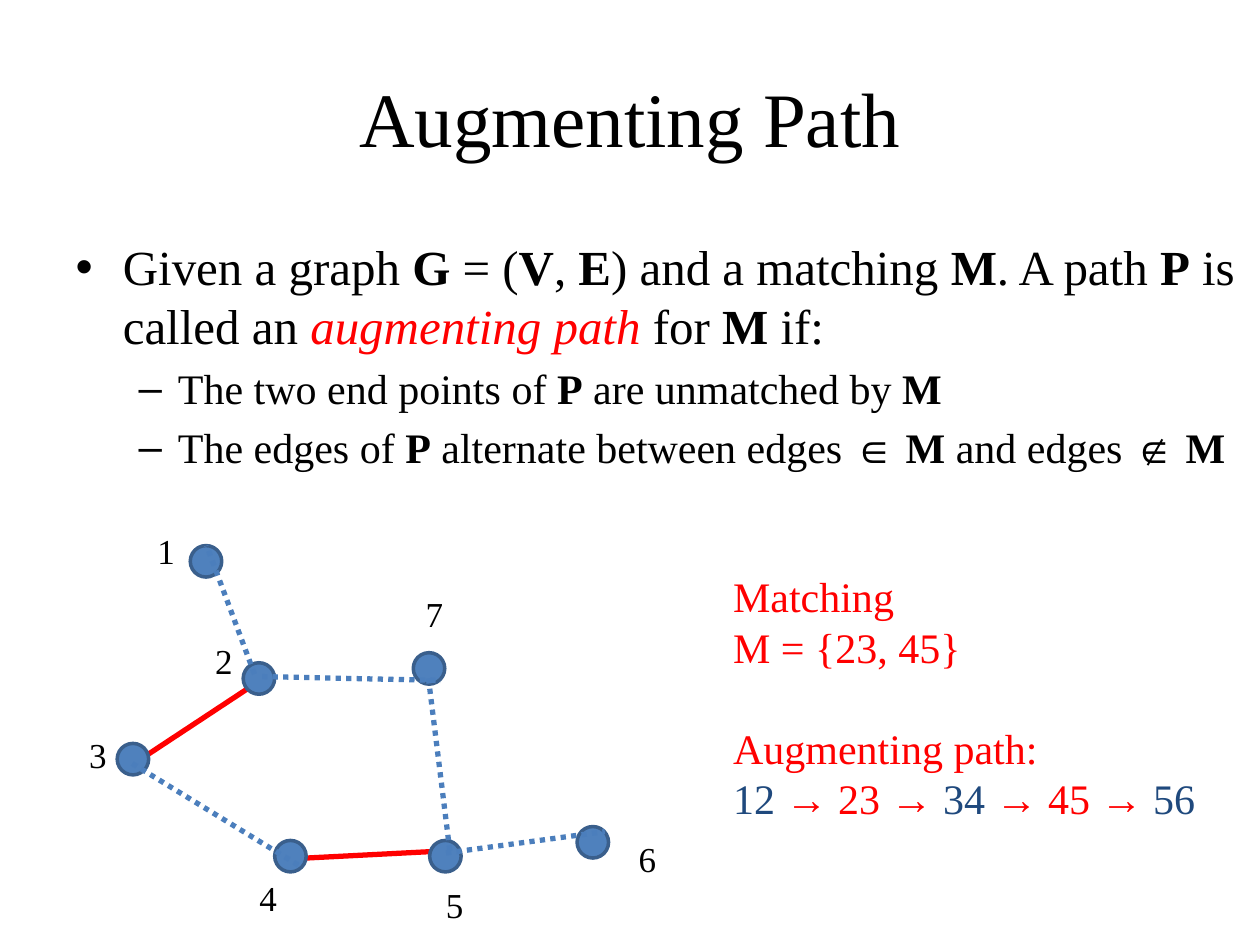
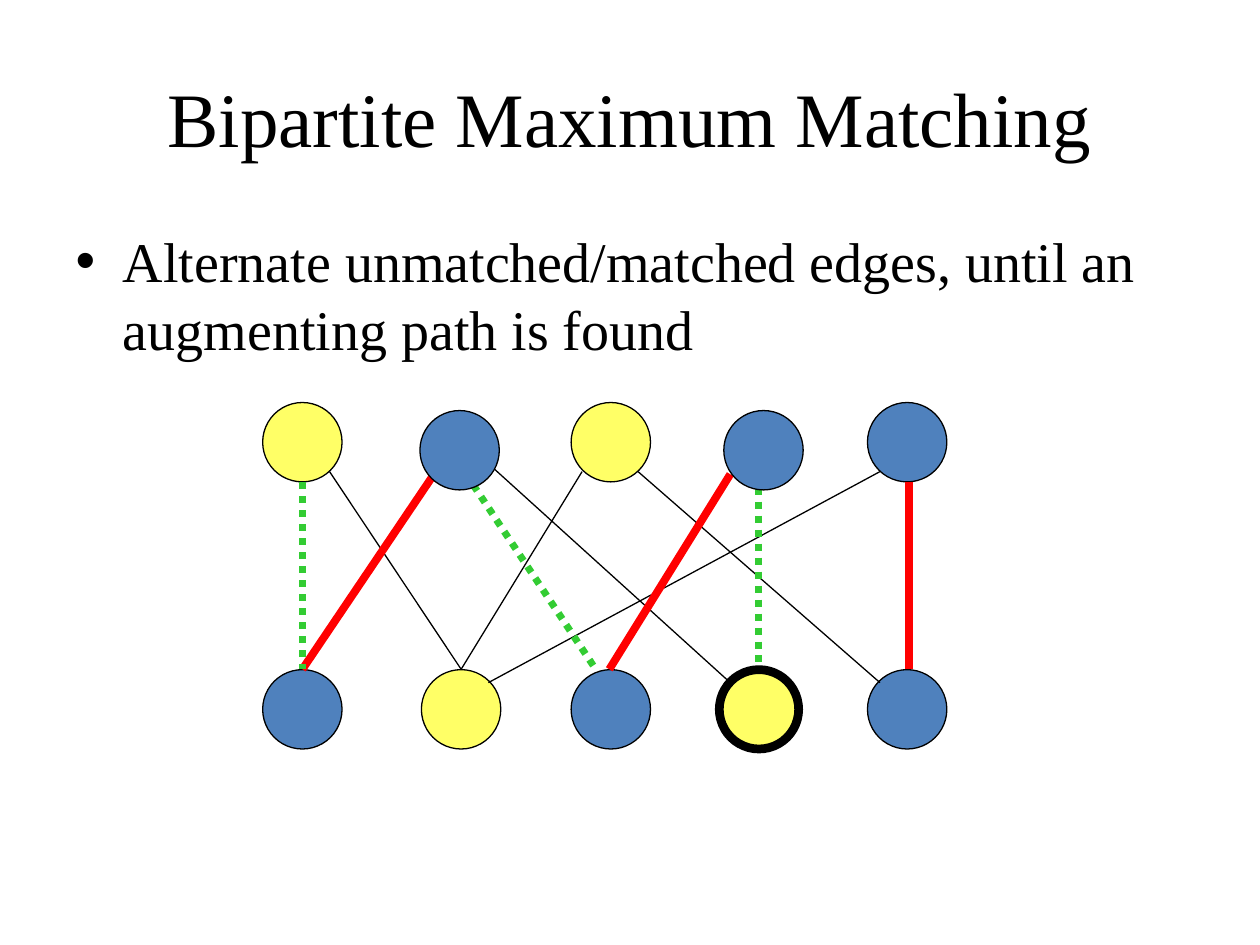
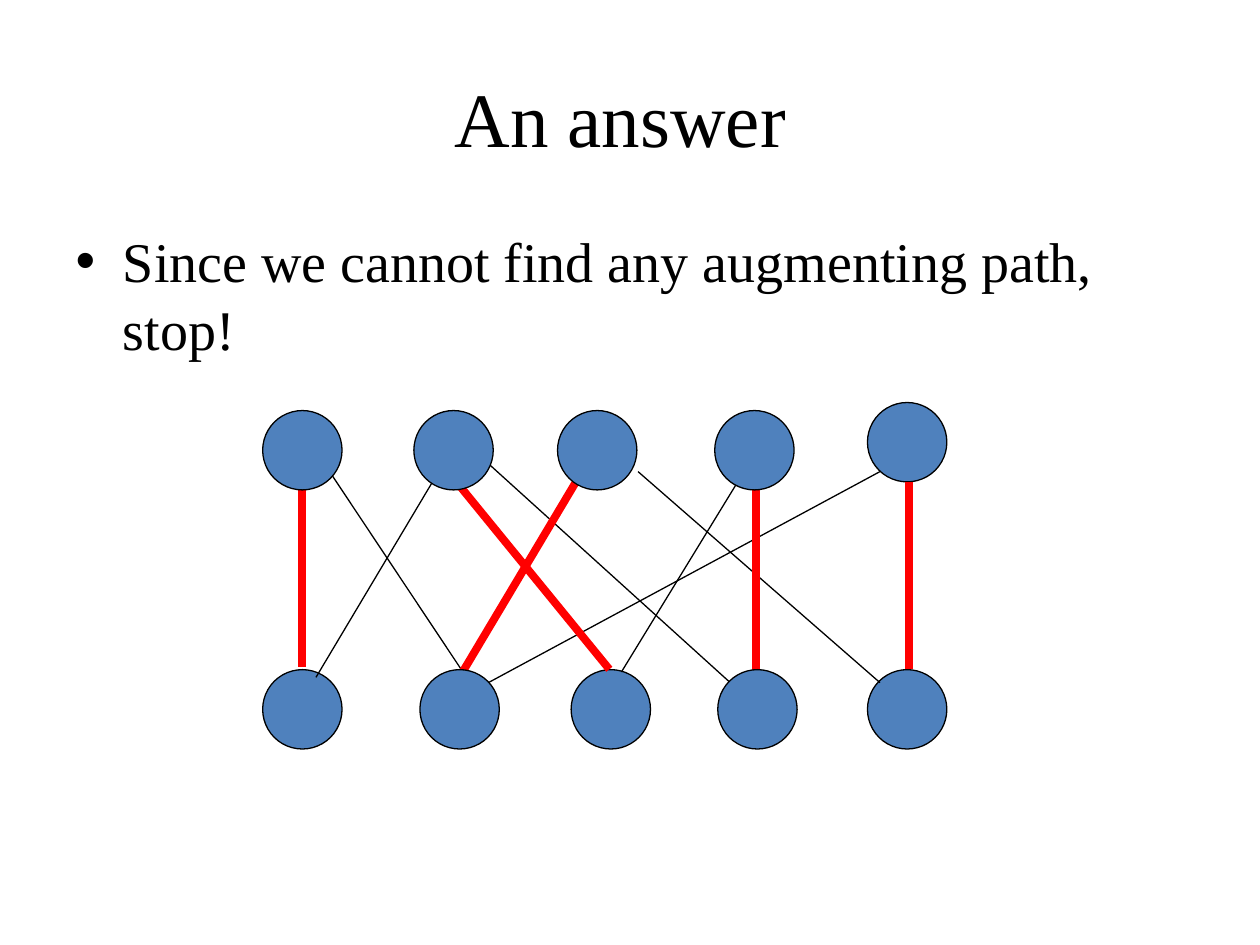
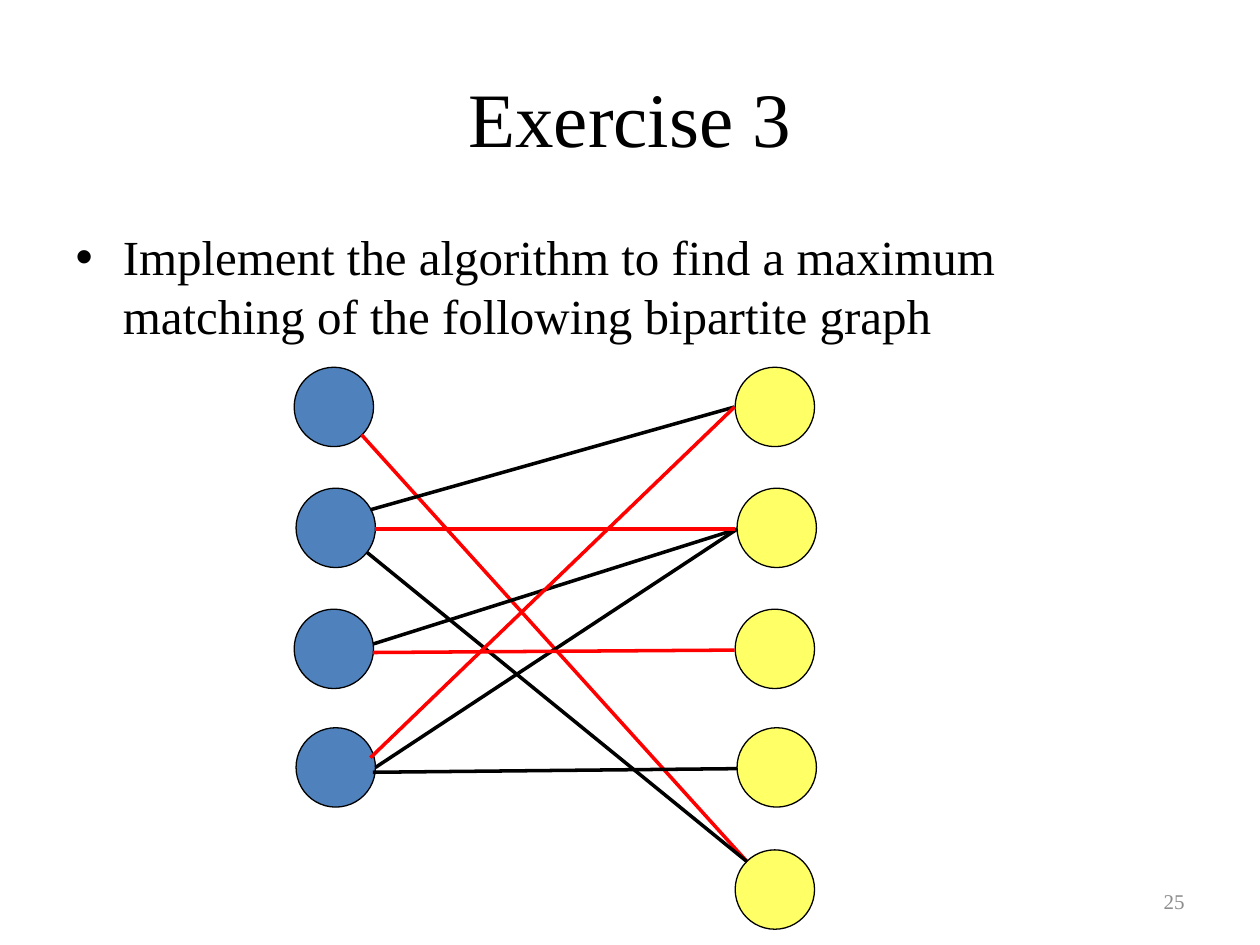
import collections

import lxml.etree
import pptx
import pptx.dml.color
import pptx.enum.dml
import pptx.enum.shapes
import pptx.enum.text
import pptx.oxml.ns
import pptx.util

FONT = "Times New Roman"
COLORS = {
    "black": "000000",
    "red": "FF0000",
    "navy": "1F497D",
    "blue": "4F81BD",
    "blue outline": "3A5F8C",
    "blue edge": "4B7EBC",
    "yellow": "FFFF66",
    "green": "33CC33",
    "gray": "8C8C8C",
}
NODE_SIZE = 0.63
BOLD = {"bold": True}
RED = {"color": "red"}
NAVY = {"color": "navy"}

Box = collections.namedtuple("Box", "left top width height")
Grid = collections.namedtuple("Grid", "left top column_width row_height")

TITLE_BOX = Box(0.5, 0.3, 9, 1.25)
BODY_BOX = Box(0.5, 1.75, 9, 4.95)
PATH_GRID = Grid(0.5, 4, 0.5, 0.5)
MATCHING_GRID = Grid(2.4, 3.51, 1.2, 2.12)
EXERCISE_GRID = Grid(2.65, 3.23, 0.5, 0.96)


def rgb(name):
    return pptx.dml.color.RGBColor.from_string(COLORS[name])


def inches(*lengths):
    return [pptx.util.Inches(length) for length in lengths]


def grid_point(grid, column, row):
    return (grid.left + column * grid.column_width,
            grid.top + row * grid.row_height)


def write(paragraph, text, size, color="black", bold=False, italic=False):
    """Append one formatted run."""
    run = paragraph.add_run()
    run.text = text
    font = run.font
    font.name = FONT
    font.size = pptx.util.Pt(size)
    font.bold = bold
    font.italic = italic
    font.color.rgb = rgb(color)


def write_runs(paragraph, runs, size):
    """Append runs, each a plain string or a (text, format) pair."""
    for run in runs:
        text, style = (run, {}) if isinstance(run, str) else run
        write(paragraph, text, size, **style)


def place(shape, box):
    shape.left, shape.top, shape.width, shape.height = inches(*box)


def add_text_box(slide, box):
    frame = slide.shapes.add_textbox(*inches(*box)).text_frame
    frame.word_wrap = True
    return frame


def next_paragraph(frame, index):
    return frame.paragraphs[0] if index == 0 else frame.add_paragraph()


def add_slide(presentation, title, items, body_box=BODY_BOX):
    """Fill title and list; each item is (level, size, runs)."""
    slide = presentation.slides.add_slide(presentation.slide_layouts[1])
    title_shape, body = slide.shapes.title, slide.placeholders[1]
    place(title_shape, TITLE_BOX)
    place(body, body_box)
    for shape in (title_shape, body):
        shape.text_frame.auto_size = pptx.enum.text.MSO_AUTO_SIZE.NONE
    heading = title_shape.text_frame.paragraphs[0]
    heading.alignment = pptx.enum.text.PP_ALIGN.CENTER
    write(heading, title, 44)
    for index, (level, size, runs) in enumerate(items):
        paragraph = next_paragraph(body.text_frame, index)
        paragraph.level = level
        if index == 0:
            paragraph.space_before = pptx.util.Pt(0)
        write_runs(paragraph, runs, size)
    return slide


def draw_nodes(slide, grid, centers, fill, size=NODE_SIZE, outline="black", width=0.75):
    for center in centers:
        x, y = grid_point(grid, *center)
        node = slide.shapes.add_shape(
            pptx.enum.shapes.MSO_SHAPE.OVAL,
            *inches(x - size / 2, y - size / 2, size, size))
        node.shadow.inherit = False
        node.fill.solid()
        node.fill.fore_color.rgb = rgb(fill)
        node.line.color.rgb = rgb(outline)
        node.line.width = pptx.util.Pt(width)


def draw_edges(slide, grid, edges, color="black", width=0.75, dotted=False):
    """Draw edges given as (column, row, column, row)."""
    for edge in edges:
        edge_ends = grid_point(grid, *edge[:2]) + grid_point(grid, *edge[2:])
        connector = slide.shapes.add_connector(
            pptx.enum.shapes.MSO_CONNECTOR.STRAIGHT, *inches(*edge_ends))
        connector.line.color.rgb = rgb(color)
        connector.line.width = pptx.util.Pt(width)
        if dotted:
            connector.line.dash_style = pptx.enum.dml.MSO_LINE.ROUND_DOT
        lxml.etree.SubElement(connector.element.spPr, pptx.oxml.ns.qn("a:effectLst"))


def draw_path_graph(slide, grid):
    nodes = [(2.27, 0.91), (3.11, 2.77), (1.11, 4.05), (3.61, 5.59),
             (6.07, 5.59), (8.41, 5.37), (5.81, 2.61)]
    labels = [(1.3, 0.3), (2.22, 2.06), (0.22, 3.54), (2.92, 5.82),
              (5.88, 5.92), (8.94, 5.2), (5.56, 1.3)]
    matched = [(1.22, 4.06, 3.04, 2.86), (3.48, 5.64, 6.18, 5.5)]
    unmatched = [(1.1, 4.12, 3.78, 5.76), (3.16, 2.74, 6, 2.8),
                 (3.04, 2.7, 2.28, 0.66), (6.08, 5.54, 8.6, 5.2),
                 (6.14, 5.5, 5.8, 2.76)]
    draw_edges(slide, grid, matched, color="red", width=3)
    draw_nodes(slide, grid, nodes, "blue", size=0.25, outline="blue outline", width=2)
    draw_edges(slide, grid, unmatched, color="blue edge", width=3, dotted=True)
    for number, corner in enumerate(labels, start=1):
        box = Box(*grid_point(grid, *corner), 0.43, 0.44)
        write(add_text_box(slide, box).paragraphs[0], str(number), 20)


def draw_path_notes(slide, box):
    frame = add_text_box(slide, box)
    lines = [
        [("Matching", RED)],
        [("M = {23, 45}", RED)],
        [("Augmenting path:", RED)],
        [("12", NAVY), (" → 23 → ", RED), ("34", NAVY), (" → 45 → ", RED), ("56", NAVY)],
    ]
    for index, runs in enumerate(lines):
        paragraph = next_paragraph(frame, index)
        write_runs(paragraph, runs, 24)
        if index == 2:
            paragraph.space_before = pptx.util.Pt(29)


def augmenting_path_slide(presentation):
    slide = add_slide(presentation, "Augmenting Path", [
        (0, 28, ["Given a graph ", ("G", BOLD), " = (", ("V", BOLD), ", ", ("E", BOLD),
                 ") and a matching ", ("M", BOLD), ". A path ", ("P", BOLD),
                 " is called an ",
                 ("augmenting path ", {"color": "red", "italic": True}),
                 "for ", ("M", BOLD), " if:"]),
        (1, 24, ["The two end points of ", ("P", BOLD), " are unmatched by ", ("M", BOLD)]),
        (1, 24, ["The edges of ", ("P", BOLD), " alternate between edges ∈ ",
                 ("M ", BOLD), "and edges ∉ ", ("M", BOLD)]),
    ], Box(0.5, 1.83, 9.67, 4.25))
    draw_path_notes(slide, Box(5.72, 4.48, 3.99, 2.12))
    draw_path_graph(slide, PATH_GRID)


def maximum_matching_slide(presentation, grid=MATCHING_GRID):
    slide = add_slide(presentation, "Bipartite Maximum Matching", [
        (0, 32, ["Alternate unmatched/matched edges, until an augmenting path is found"])])
    draw_nodes(slide, grid, [(0, 0), (2.04, 0), (1.05, 1)], "yellow")
    draw_nodes(slide, grid, [(4, 0), (0, 1), (2.04, 1), (4, 1)], "blue")
    draw_nodes(slide, grid, [(3.02, 1)], "yellow", width=5)
    draw_edges(slide, grid, [
        (0.18, 0.11, 1.05, 0.85), (1.23, 0.08, 2.83, 0.9), (1.23, 0.9, 3.82, 0.11),
        (2.22, 0.11, 3.82, 0.9), (1.85, 0.11, 1.05, 0.85)])
    draw_edges(slide, grid, [
        (0.87, 0.12, 0, 0.85), (4.01, 0.15, 4.01, 0.85), (2.83, 0.12, 2.03, 0.85)],
        color="red", width=4.5)
    draw_edges(slide, grid, [
        (1.13, 0.16, 1.94, 0.85), (3.02, 0.17, 3.02, 0.84), (0, 0.15, 0, 0.85)],
        color="green", width=4, dotted=True)
    draw_nodes(slide, grid, [(3.05, 0.03), (1.04, 0.03)], "blue")


def answer_slide(presentation, grid=MATCHING_GRID):
    slide = add_slide(presentation, "An answer ", [
        (0, 32, ["Since we cannot find any augmenting path, stop!"])])
    draw_nodes(slide, grid, [(4, 0), (0, 1), (2.04, 1), (4, 1)], "blue")
    draw_edges(slide, grid, [
        (0.18, 0.11, 1.05, 0.85), (1.23, 0.08, 2.83, 0.9), (1.23, 0.9, 3.82, 0.11),
        (2.22, 0.11, 3.82, 0.9), (0.88, 0.13, 0.09, 0.88), (2.91, 0.12, 2.11, 0.86)])
    draw_edges(slide, grid, [
        (4.01, 0.15, 4.01, 0.85), (0, 0.14, 0, 0.84), (1.05, 0.17, 2.03, 0.85),
        (3, 0.15, 3, 0.86), (1.85, 0.11, 1.06, 0.86)],
        color="red", width=4.5)
    draw_nodes(slide, grid, [
        (3.01, 1), (1.04, 1), (2.99, 0.03), (1.95, 0.03), (1, 0.03), (0, 0.03)], "blue")


def exercise_slide(presentation, grid=EXERCISE_GRID):
    slide = add_slide(presentation, "Exercise 3", [
        (0, 28, ["Implement the algorithm to find a maximum matching of the following "
                 "bipartite graph"])], Box(0.5, 1.75, 9, 0.83))
    add_slide_number(slide, "25", Box(7.17, 6.95, 2.33, 0.4))
    rows = [0, 1, 2, 2.98, 3.99]
    shifts = [0, 0.03, 0, 0.03, 0]
    draw_nodes(slide, grid, [(7 + shift, row) for shift, row in zip(shifts, rows)], "yellow")
    draw_nodes(slide, grid, list(zip(shifts, rows))[:4], "blue")
    draw_edges(slide, grid, [(0.44, 0.23, 6.56, 3.76)], color="red", width=2)
    draw_edges(slide, grid, [
        (0.52, 1.2, 6.56, 3.76), (0.58, 0.85, 6.36, 0), (0.62, 1.96, 6.4, 1.01),
        (0.66, 2.98, 6.4, 1.01), (0.62, 3.02, 6.4, 2.99)], width=2)
    draw_edges(slide, grid, [
        (0.66, 1.01, 6.36, 1.01), (0.62, 2.03, 6.36, 2.01), (0.58, 2.9, 6.36, 0)],
        color="red", width=2)


def add_slide_number(slide, number, box):
    frame = add_text_box(slide, box)
    frame.vertical_anchor = pptx.enum.text.MSO_ANCHOR.MIDDLE
    frame.paragraphs[0].alignment = pptx.enum.text.PP_ALIGN.RIGHT
    write(frame.paragraphs[0], number, 12, color="gray")


def main():
    presentation = pptx.Presentation()
    presentation.slide_width, presentation.slide_height = inches(10, 7.5)
    augmenting_path_slide(presentation)
    maximum_matching_slide(presentation)
    answer_slide(presentation)
    exercise_slide(presentation)
    presentation.save("out.pptx")


if __name__ == "__main__":
    main()
